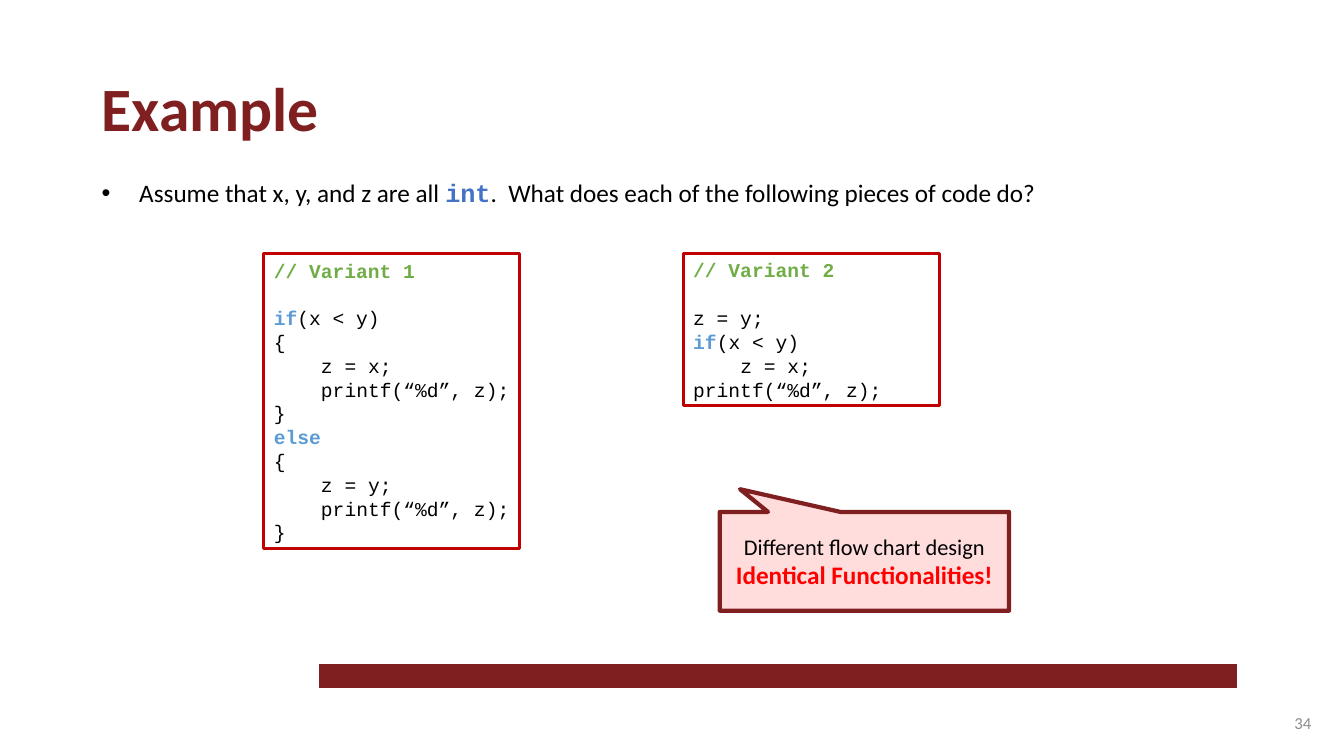
from lxml.etree import SubElement
from pptx import Presentation
from pptx.dml.color import RGBColor
from pptx.enum.shapes import MSO_SHAPE
from pptx.enum.text import MSO_ANCHOR, MSO_AUTO_SIZE, PP_ALIGN
from pptx.oxml.ns import qn
from pptx.util import Cm, Pt

MAROON = RGBColor(0x7F, 0x1F, 0x1F)
PINK = RGBColor(0xFF, 0xDD, 0xDD)
RED = RGBColor(0xFF, 0x00, 0x00)
CRIMSON = RGBColor(0xC0, 0x00, 0x00)
BLUE = RGBColor(0x44, 0x72, 0xC4)
SKY = RGBColor(0x5B, 0x9B, 0xD5)
GREEN = RGBColor(0x70, 0xAD, 0x47)
GRAY = RGBColor(0x8C, 0x8C, 0x8C)
BLACK = RGBColor(0x00, 0x00, 0x00)
WHITE = RGBColor(0xFF, 0xFF, 0xFF)

SANS, MONO = "Calibri", "Courier New"
KEYWORD = {"color": SKY, "bold": True}
IF_TEST = [("if", KEYWORD), ("(x < y)", {})]
PRINT = "printf(“%d”, z);"


def write(frame, lines, align=PP_ALIGN.LEFT, anchor=MSO_ANCHOR.TOP,
          wrap=True, **base):
    """Fill a frame; a line is a string or a list of (text, format) runs."""
    frame.auto_size = MSO_AUTO_SIZE.NONE
    frame.word_wrap = wrap
    frame.vertical_anchor = anchor
    for i, line in enumerate(lines):
        para = frame.add_paragraph() if i else frame.paragraphs[0]
        para.alignment = align
        for text, extra in [(line, {})] if isinstance(line, str) else line:
            look = {"font": SANS, "size": 18, "color": BLACK, "bold": False,
                    **base, **extra}
            run = para.add_run()
            run.text = text
            run.font.name = look["font"]
            run.font.size = Pt(look["size"])
            run.font.bold = look["bold"]
            run.font.color.rgb = look["color"]
    return frame.paragraphs


def indent(para, left, first=0):
    props = para._p.get_or_add_pPr()
    props.set("marL", str(Cm(left)))
    props.set("indent", str(Cm(first)))
    return props


class Page:
    def __init__(self, deck):
        self.slide = deck.slides.add_slide(deck.slide_layouts[5])
        self.shapes = self.slide.shapes

    def title(self, text, left, top, width, height):
        head = self.shapes.title
        head.left, head.top = Cm(left), Cm(top)
        head.width, head.height = Cm(width), Cm(height)
        write(head.text_frame, [text], wrap=False, size=44, color=MAROON,
              bold=True)

    def text(self, lines, left, top, width, height, **look):
        box = self.shapes.add_textbox(Cm(left), Cm(top), Cm(width), Cm(height))
        return write(box.text_frame, lines, **look)

    def bullet(self, line, *place):
        para = self.text([line], *place)[0]
        props = indent(para, 0.95, -0.95)
        SubElement(props, qn("a:buFont"), typeface="Arial")
        SubElement(props, qn("a:buChar"), char="•")

    def shape(self, kind, left, top, width, height, fill, line, weight):
        item = self.shapes.add_shape(kind, Cm(left), Cm(top), Cm(width),
                                     Cm(height))
        item.shadow.inherit = False
        item.fill.solid()
        item.fill.fore_color.rgb = fill
        item.line.color.rgb = line
        item.line.width = Pt(weight)
        return item

    def code(self, name, lines, left, nested):
        """Draw a listing; nested holds the numbers of its indented lines."""
        pitch = 17
        height = (len(lines) + 2) * pitch * 2.54 / 72 + 0.25
        box = self.shape(MSO_SHAPE.RECTANGLE, left, 6.38, 6.45, height,
                         WHITE, CRIMSON, 2.25)
        frame = box.text_frame
        frame.margin_right = 0
        head = [(name, {"color": GREEN, "bold": True})]
        paras = write(frame, [head, *lines], font=MONO, size=14)
        for para in paras:
            para.line_spacing = Pt(pitch)
        paras[0].space_after = Pt(pitch)
        for row in nested:
            indent(paras[row], 1.19)

    def callout(self, lines, *place):
        note = self.shape(MSO_SHAPE.RECTANGULAR_CALLOUT, *place,
                          PINK, MAROON, 3)
        note.adjustments[0], note.adjustments[1] = -0.43, -0.73
        write(note.text_frame, lines, align=PP_ALIGN.CENTER,
              anchor=MSO_ANCHOR.MIDDLE, size=16)


def main():
    deck = Presentation()
    deck.slide_width, deck.slide_height = Cm(33.87), Cm(19.05)
    page = Page(deck)
    page.shape(MSO_SHAPE.RECTANGLE, 8.05, 16.74, 23.11, 0.58,
               MAROON, MAROON, 1)
    page.title("Example", 2.31, 1.63, 6.05, 2.13)
    page.bullet([
        ("Assume that x, y, and z are all ", {}),
        ("int", {"font": MONO, "color": BLUE, "bold": True}),
        (".  What does each of the following pieces of code do?", {}),
    ], 2.31, 4.34, 29.24, 1.8)
    page.text(["34"], 25.68, 17.7, 7.62, 1.02, align=PP_ALIGN.RIGHT,
              anchor=MSO_ANCHOR.MIDDLE, size=12, color=GRAY)
    page.code("// Variant 1", [
        IF_TEST, "{", "z = x;", PRINT, "}",
        [("else", KEYWORD)], "{", "z = y;", PRINT, "}",
    ], 6.65, nested=(3, 4, 8, 9))
    page.code("// Variant 2", ["z = y;", IF_TEST, "z = x;", PRINT],
              17.22, nested=(3,))
    page.callout([
        "Different flow chart design",
        [("Identical Functionalities!",
          {"size": 18, "color": RED, "bold": True})],
    ], 18.14, 12.9, 7.29, 2.49)
    deck.save("out.pptx")


if __name__ == "__main__":
    main()
